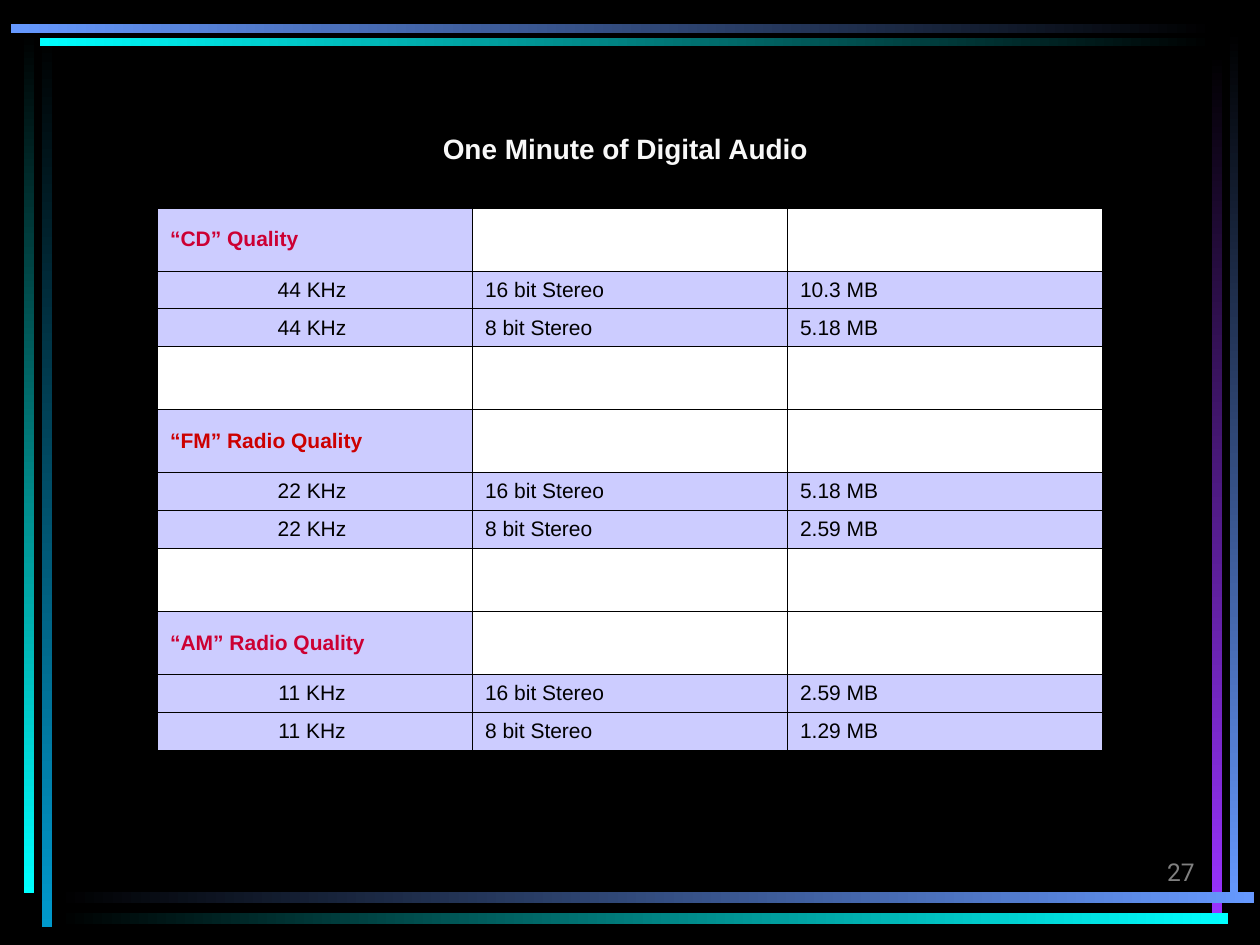
import pptx
import pptx.util
from lxml import etree
from pptx.dml.color import RGBColor
from pptx.enum.shapes import MSO_SHAPE
from pptx.enum.text import MSO_ANCHOR, MSO_AUTO_SIZE, PP_ALIGN
from pptx.oxml.ns import qn

Pt = pptx.util.Pt

COLORS = {
    "black": "000000", "white": "FFFFFF", "title": "F8F8F8", "number": "808080",
    "cyan": "00FFFF", "teal": "0099CC", "blue": "6699FF", "purple": "9933FF",
    "lavender": "CCCCFF", "crimson": "CC0033", "red": "CC0000",
}

# Gradient angle for each direction in which a bar fades from black to its colour
DOWN, RIGHT, LEFT = 270, 0, 180

# Frame bars, back to front: colour, direction, (left, top, width, height)
FRAME_BARS = [
    ("teal", DOWN, (23.8, 20.2, 5.8, 509.8)),
    ("cyan", DOWN, (13.7, 18, 5.8, 492.5)),
    ("blue", DOWN, (702.7, 17.3, 5, 499)),
    ("purple", DOWN, (692.6, 30.2, 6, 491.8)),
    ("blue", RIGHT, (32.4, 509.8, 684, 6)),
    ("cyan", RIGHT, (32.4, 522, 669.6, 6)),
    ("cyan", LEFT, (22.7, 21.6, 671, 4.6)),
    ("blue", LEFT, (6, 13.5, 688, 5.2)),
]

# Quality, heading colour, sampling rate, size at 16 bit, size at 8 bit
QUALITIES = [
    ("“CD” Quality", "crimson", "44 KHz ", "10.3 MB", "5.18 MB"),
    ("“FM” Radio Quality", "red", "22 KHz ", "5.18 MB", "2.59 MB"),
    ("“AM” Radio Quality", "crimson", "11 KHz ", "2.59 MB", "1.29 MB"),
]


def rgb(name):
    return RGBColor.from_string(COLORS[name])


def add_run(paragraph, text, size, color, bold=False, font="Arial"):
    run = paragraph.add_run()
    run.text = text
    run.font.name = font
    run.font.size = Pt(size)
    run.font.bold = bold
    run.font.color.rgb = rgb(color)


def add_frame(slide, bars):
    for color, direction, box in bars:
        bar = slide.shapes.add_shape(MSO_SHAPE.RECTANGLE, *map(Pt, box))
        bar.shadow.inherit = False
        bar.line.fill.background()
        bar.fill.gradient()
        bar.fill.gradient_angle = direction
        for stop, shade in zip(bar.fill.gradient_stops, ("black", color)):
            stop.color.rgb = rgb(shade)


def place_title(slide, left, top, width, height):
    title = slide.shapes.title
    title.left, title.top, title.width, title.height = map(Pt, (left, top, width, height))
    frame = title.text_frame
    frame.word_wrap = False
    frame.auto_size = MSO_AUTO_SIZE.NONE
    frame.vertical_anchor = MSO_ANCHOR.TOP
    heading = frame.paragraphs[0]
    heading.alignment = PP_ALIGN.CENTER
    add_run(heading, "One Minute of Digital Audio ", 16, "title", bold=True)


def add_page_number(slide, left, top, width, height):
    frame = slide.shapes.add_textbox(*map(Pt, (left, top, width, height))).text_frame
    frame.word_wrap = True
    frame.vertical_anchor = MSO_ANCHOR.BOTTOM
    number = frame.paragraphs[0]
    number.alignment = PP_ALIGN.RIGHT
    add_run(number, "27", 14, "number", font="Roboto")


def set_borders(cell):
    properties = cell._tc.get_or_add_tcPr()
    for position, side in enumerate(("lnL", "lnR", "lnT", "lnB")):
        border = etree.Element(qn(f"a:{side}"), w=str(Pt(0.34)))
        fill = etree.SubElement(border, qn("a:solidFill"))
        etree.SubElement(fill, qn("a:srgbClr"), val=COLORS["black"])
        properties.insert(position, border)


def quality_rows(qualities):
    """Rows of (height, heading colour or None, texts), with a gap between groups."""
    rows = []
    for quality, color, rate, size_16, size_8 in qualities:
        if rows:
            rows.append((36, None, ("", "", "")))
        rows.append((36, color, (quality, "", "")))
        rows.append((21.6, None, (rate, "16 bit Stereo", size_16)))
        rows.append((21.6, None, (rate, "8 bit Stereo", size_8)))
    return rows


def add_audio_table(slide, left, top, width):
    rows = quality_rows(QUALITIES)
    height = sum(row[0] for row in rows)
    table = slide.shapes.add_table(
        len(rows), 3, *map(Pt, (left, top, width, height))).table
    table.first_row = table.horz_banding = False
    for column in table.columns:
        column.width = Pt(width / 3)
    for r, (row_height, heading_color, texts) in enumerate(rows):
        table.rows[r].height = Pt(row_height)
        for c, text in enumerate(texts):
            cell = table.cell(r, c)
            cell.vertical_anchor = MSO_ANCHOR.MIDDLE
            cell.fill.solid()
            cell.fill.fore_color.rgb = rgb("lavender" if text else "white")
            set_borders(cell)
            if text:
                entry = cell.text_frame.paragraphs[0]
                is_rate = c == 0 and not heading_color
                entry.alignment = PP_ALIGN.CENTER if is_rate else PP_ALIGN.LEFT
                add_run(entry, text, 12, heading_color or "black", bold=bool(heading_color))


def main():
    deck = pptx.Presentation()
    deck.slide_width, deck.slide_height = Pt(720), Pt(540)
    slide = deck.slides.add_slide(deck.slide_layouts[5])
    slide.background.fill.solid()
    slide.background.fill.fore_color.rgb = rgb("black")

    add_frame(slide, FRAME_BARS)
    add_page_number(slide, 540, 473.8, 149.8, 36)
    place_title(slide, 245.5, 71.3, 228.2, 46)
    add_audio_table(slide, 90, 118.8, 540)

    deck.save("out.pptx")


if __name__ == "__main__":
    main()
